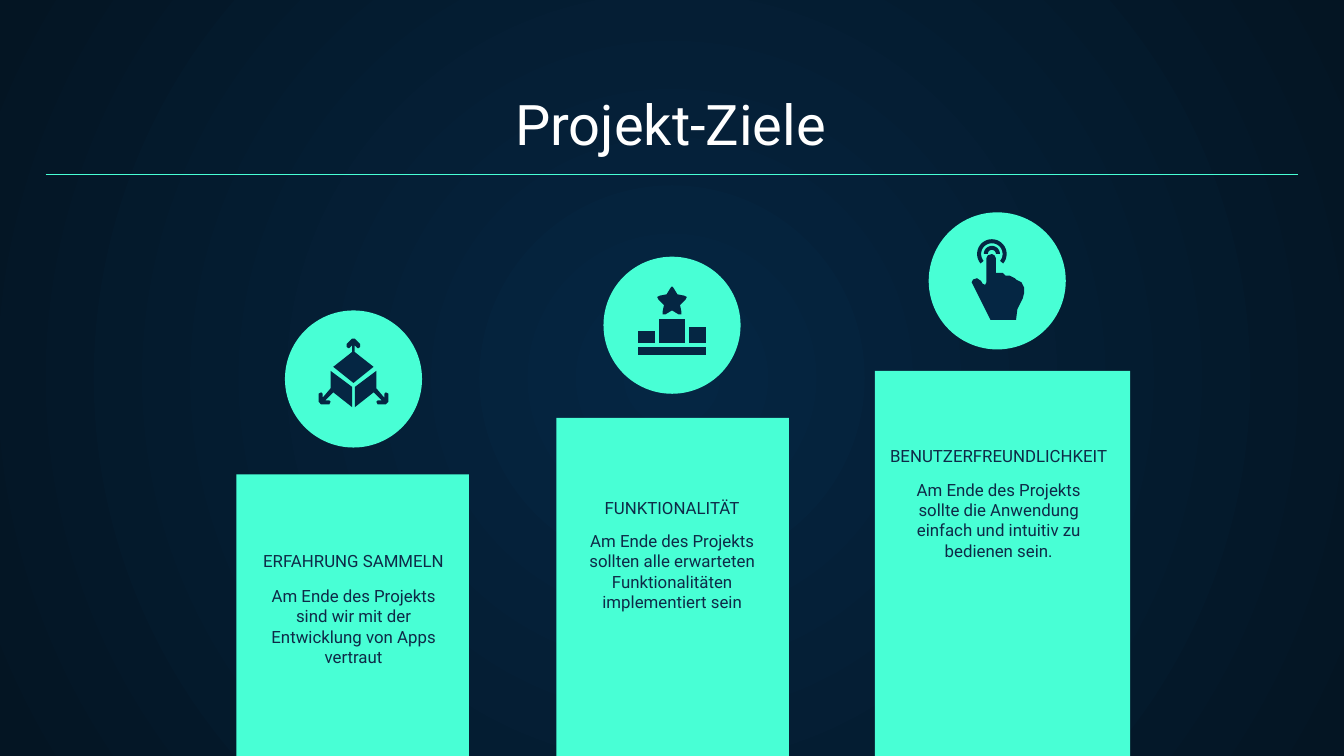
"""Build the project goals slide with three rising pillars."""
from dataclasses import dataclass
from math import cos, radians, sin

from lxml.etree import SubElement
from pptx import Presentation
from pptx.dml.color import RGBColor
from pptx.enum.shapes import MSO_CONNECTOR as Connector, MSO_SHAPE as Shape
from pptx.enum.text import MSO_ANCHOR as Anchor, MSO_AUTO_SIZE as AutoSize, PP_ALIGN as Align
from pptx.oxml.ns import qn
from pptx.shapes.base import BaseShape
from pptx.slide import Slide
from pptx.util import Inches, Pt

MINT = RGBColor(0x48, 0xFF, 0xD5)
NAVY = RGBColor(0x05, 0x26, 0x43)
NIGHT = RGBColor(0x04, 0x15, 0x23)
INK = RGBColor(0x0E, 0x2A, 0x47)
WHITE = RGBColor(0xFF, 0xFF, 0xFF)
WIDTH = 10
HEIGHT = WIDTH * 9 / 16
BADGE, HEADING_WIDTH, BODY_WIDTH = 1.02, 2.27, 1.52

Outline = list[tuple[float, float]]


@dataclass(frozen=True)
class Pillar:
    heading: str
    body: str
    center: float
    bar_left: float
    bar_top: float
    bar_width: float
    badge_left: float
    badge_top: float
    heading_top: float
    body_top: float
    icon: list[Outline]


def mirror(points: Outline, axis: float) -> Outline:
    return [(2 * axis - x, y) for x, y in reversed(points)]


def symmetric(points: Outline, axis: float) -> Outline:
    return points + mirror(points, axis)


def rectangle(left: float, top: float, right: float, bottom: float) -> Outline:
    return [(left, top), (right, top), (right, bottom), (left, bottom)]


def ring(x: float, y: float, outer: float, inner: float, start: int, end: int) -> Outline:
    def arc(radius: float) -> Outline:
        return [(x + radius * cos(radians(angle)), y + radius * sin(radians(angle)))
                for angle in range(start, end + 1, 10)]
    return arc(outer) + arc(inner)[::-1]


CUBE_SIDE = [(2.8, 2.76), (2.64, 2.88), (2.64, 3.03), (2.78, 2.92), (2.84, 2.98),
             (2.81, 2.98), (2.8, 2.99), (2.81, 3.01), (2.87, 3.01), (2.89, 2.99),
             (2.89, 2.93), (2.87, 2.92), (2.86, 2.93), (2.86, 2.96), (2.8, 2.89)]
CUBE_TOP = [(2.63, 2.52), (2.64, 2.52), (2.68, 2.56), (2.68, 2.58), (2.67, 2.59),
            (2.66, 2.59), (2.64, 2.57), (2.64, 2.62), (2.78, 2.73), (2.63, 2.85)]
STAR = [(5, 2.13), (5.01, 2.14), (5.04, 2.19), (5.09, 2.2), (5.11, 2.21), (5.1, 2.23),
        (5.06, 2.27), (5.07, 2.32), (5.07, 2.34), (5.05, 2.34), (5, 2.31)]
HAND = [(7.38, 1.89), (7.35, 1.9), (7.34, 1.92), (7.34, 2.1), (7.33, 2.12), (7.31, 2.11),
        (7.3, 2.09), (7.27, 2.07), (7.24, 2.08), (7.23, 2.1), (7.24, 2.12), (7.37, 2.38),
        (7.56, 2.38), (7.57, 2.3), (7.61, 2.22), (7.62, 2.18), (7.62, 2.14), (7.6, 2.1),
        (7.56, 2.08), (7.55, 2.07), (7.51, 2.05), (7.48, 2.05), (7.46, 2.03),
        (7.41, 2.03), (7.41, 1.92), (7.4, 1.9)]

CUBE_ICON = [CUBE_SIDE, mirror(CUBE_SIDE, 2.63), symmetric(CUBE_TOP, 2.63)]
PODIUM_ICON = [symmetric(STAR, 5), rectangle(4.9, 2.37, 5.1, 2.55),
               rectangle(4.75, 2.46, 4.87, 2.55), rectangle(5.13, 2.43, 5.25, 2.55),
               rectangle(4.75, 2.58, 5.25, 2.64)]
TOUCH_ICON = [ring(7.38, 1.89, 0.11, 0.08, 140, 400),
              ring(7.38, 1.89, 0.06, 0.03, 180, 360), HAND]

PILLARS = [
    Pillar("ERFAHRUNG SAMMELN",
           "Am Ende des Projekts sind wir mit der Entwicklung von Apps vertraut",
           2.63, 1.76, 3.53, 1.73, 2.12, 2.31, 4.14, 4.26, CUBE_ICON),
    Pillar("FUNKTIONALITÄT",
           "Am Ende des Projekts sollten alle erwarteten Funktionalitäten implementiert sein",
           5, 4.14, 3.11, 1.73, 4.49, 1.91, 3.74, 3.85, PODIUM_ICON),
    Pillar("BENUTZERFREUNDLICHKEIT",
           "Am Ende des Projekts sollte die Anwendung einfach und intuitiv zu bedienen sein.",
           7.43, 6.51, 2.76, 1.9, 6.91, 1.58, 3.36, 3.47, TOUCH_ICON),
]


def paint(shape: BaseShape, color: RGBColor) -> None:
    shape.shadow.inherit = False
    shape.fill.solid()
    shape.fill.fore_color.rgb = color
    shape.line.fill.background()


def add_block(page: Slide, kind: Shape, left: float, top: float,
              width: float, height: float) -> None:
    block = page.shapes.add_shape(kind, Inches(left), Inches(top),
                                  Inches(width), Inches(height))
    paint(block, MINT)


def add_outline(page: Slide, outline: Outline) -> None:
    points = [(Inches(x), Inches(y)) for x, y in outline]
    builder = page.shapes.build_freeform(*points[0])
    builder.add_line_segments(points[1:], close=True)
    paint(builder.convert_to_shape(), NAVY)


def add_text(page: Slide, text: str, left: float, top: float, width: float, height: float,
             size: int, color: RGBColor, anchor: Anchor) -> None:
    box = page.shapes.add_textbox(Inches(left), Inches(top), Inches(width), Inches(height))
    frame = box.text_frame
    frame.word_wrap = True
    frame.auto_size = AutoSize.NONE
    frame.vertical_anchor = anchor
    frame.margin_left = frame.margin_right = Inches(0.1)
    frame.margin_top = frame.margin_bottom = Inches(0.1)
    para = frame.paragraphs[0]
    para.alignment = Align.CENTER
    span = para.add_run()
    span.text = text
    span.font.name = "Roboto"
    span.font.size = Pt(size)
    span.font.color.rgb = color


def add_pillar(page: Slide, pillar: Pillar) -> None:
    add_block(page, Shape.RECTANGLE, pillar.bar_left, pillar.bar_top,
              pillar.bar_width, HEIGHT - pillar.bar_top)
    add_block(page, Shape.OVAL, pillar.badge_left, pillar.badge_top, BADGE, BADGE)
    for outline in pillar.icon:
        add_outline(page, outline)
    add_text(page, pillar.heading, pillar.center - HEADING_WIDTH / 2, pillar.heading_top,
             HEADING_WIDTH, 0.21, 9, INK, Anchor.BOTTOM)
    add_text(page, pillar.body, pillar.center - BODY_WIDTH / 2, pillar.body_top,
             BODY_WIDTH, 0.97, 9, INK, Anchor.TOP)


def add_rule(page: Slide) -> None:
    rule = page.shapes.add_connector(Connector.STRAIGHT, Inches(0.34), Inches(1.3),
                                     Inches(9.66), Inches(1.3))
    rule.line.color.rgb = MINT
    rule.line.width = Pt(0.75)
    SubElement(rule._element.spPr, qn("a:effectLst"))


def set_background(page: Slide) -> None:
    fill = page.background.fill
    fill.gradient()
    for stop, color in zip(fill.gradient_stops, (NAVY, NIGHT)):
        stop.color.rgb = color
    linear = page._element.find(".//" + qn("a:lin"))
    gradient = linear.getparent()
    gradient.remove(linear)
    circle = SubElement(gradient, qn("a:path"), {"path": "circle"})
    SubElement(circle, qn("a:fillToRect"), dict.fromkeys("ltrb", "50000"))


def main() -> None:
    deck = Presentation()
    deck.slide_width, deck.slide_height = Inches(WIDTH), Inches(HEIGHT)
    page = deck.slides.add_slide(deck.slide_layouts[6])
    set_background(page)
    add_text(page, "Projekt-Ziele", 0.33, 0.61, 9.32, 0.66, 30, WHITE, Anchor.BOTTOM)
    for pillar in PILLARS:
        add_pillar(page, pillar)
    add_rule(page)
    deck.save("out.pptx")


if __name__ == "__main__":
    main()
